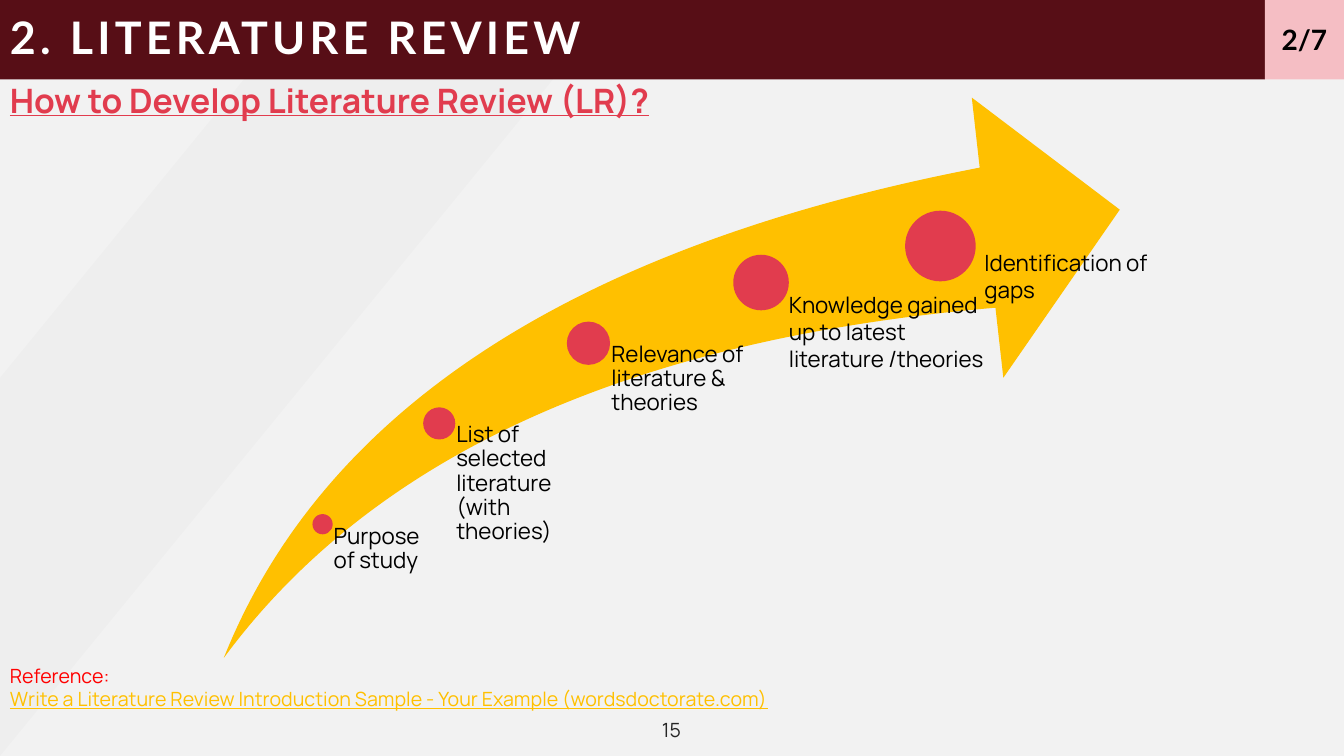
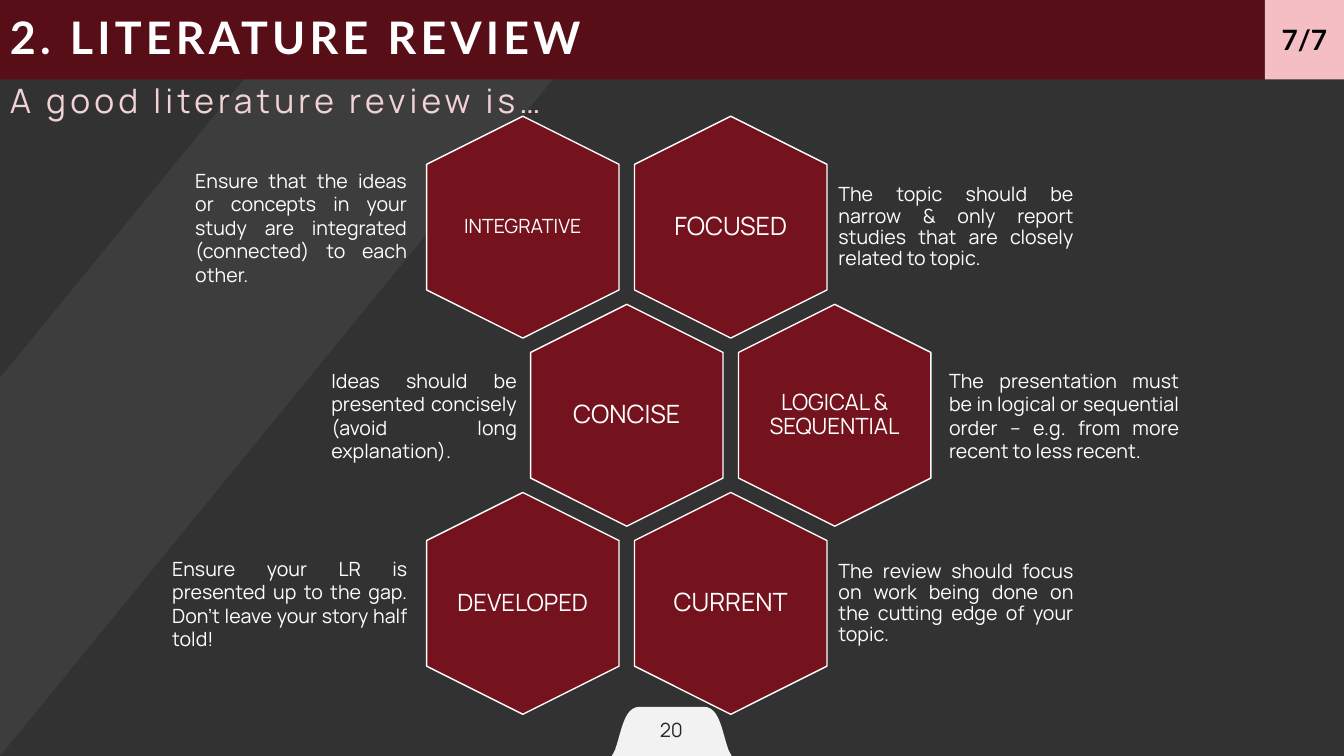
from lxml import etree
from pptx import Presentation
from pptx.dml.color import RGBColor
from pptx.enum import shapes, text
from pptx.oxml import ns
from pptx.util import Cm, Pt

HUES = {
    "wine": "570E16", "ruby": "74121D", "rose": "E13C4E", "pink": "F5BEC4",
    "blush": "F1D2D5", "gold": "FFC000", "red": "FF0000", "white": "FFFFFF",
    "black": "000000", "ink": "262626", "pale": "F2F2F2", "dark": "323232",
    "grey": "BFBFBF",
}
KIND, ALIGN = shapes.MSO_SHAPE, text.PP_ALIGN
MID = text.MSO_ANCHOR.MIDDLE


def paint(shape, hue, line=None):
    """Give a shape a solid fill and, if asked, a thin outline."""
    shape.fill.solid()
    shape.fill.fore_color.rgb = RGBColor.from_string(HUES[hue])
    if line:
        shape.line.color.rgb = RGBColor.from_string(HUES[line])
        shape.line.width = Pt(1)
    else:
        shape.line.fill.background()


def write(shape, words, size, hue, face="Manrope", align=ALIGN.LEFT, gap=1.0,
          anchor=text.MSO_ANCHOR.TOP, left=0.25, top=0.13, bold=False,
          under=False, track=0):
    """Put one styled paragraph into a shape."""
    frame = shape.text_frame
    frame.word_wrap, frame.vertical_anchor = True, anchor
    frame.auto_size = text.MSO_AUTO_SIZE.NONE
    frame.margin_left, frame.margin_right = Cm(left), Cm(min(left, 0.25))
    frame.margin_top = frame.margin_bottom = Cm(top)
    frame.text = words
    par = frame.paragraphs[0]
    par.alignment, par.line_spacing = align, gap
    font = par.font
    font.name, font.size, font.bold, font.underline = face, Pt(size), bold, under
    font.color.rgb = RGBColor.from_string(HUES[hue])
    if track:
        par.runs[0]._r.get_or_add_rPr().set("spc", str(track * 100))


deck = Presentation()
deck.slide_width, deck.slide_height = Cm(33.87), Cm(19.05)

# Shared frame: background, stripe, title bar, part counter, page number
pages = []
for back, part, number in [("pale", "2/7", "15"), ("dark", "7/7", "20")]:
    page = deck.slides.add_slide(deck.slide_layouts[5])
    page.background.fill.solid()
    page.background.fill.fore_color.rgb = RGBColor.from_string(HUES[back])
    title = page.shapes.title

    # Page tab with curved shoulders, mirrored about the centre
    mid, ends = 16.93, [(0.8, 17.81), (1.21, 17.81), (1.26, 18.42), (1.43, 18.9)]
    side = []
    for step in range(13):
        t = step / 12
        mix = [(1 - t) ** 3, 3 * t * (1 - t) ** 2, 3 * t * t * (1 - t), t ** 3]
        side.append([sum(m * e[i] for m, e in zip(mix, ends)) for i in (0, 1)])
    side.append([1.51, 19.05])
    rim = [(mid + x, y) for x, y in side] + [(mid - x, y) for x, y in side[::-1]]
    rim = [(Cm(x), Cm(y)) for x, y in rim]
    pen = page.shapes.build_freeform(*rim[0])
    pen.add_line_segments(rim[1:], close=True)
    tab = pen.convert_to_shape()
    paint(tab, "pale")

    stripe = page.shapes.add_shape(KIND.DIAGONAL_STRIPE, 0, 0, Cm(15.57), Cm(19.05))
    paint(stripe, "grey")
    tint = stripe.element.find(".//" + ns.qn("a:srgbClr"))
    etree.SubElement(tint, ns.qn("a:alpha")).set("val", "8000")
    for shape in (tab, stripe):
        shape.shadow.inherit = False
        title.element.addprevious(shape.element)

    title.left, title.top, title.width, title.height = 0, 0, Cm(31.88), Cm(2)
    paint(title, "wine")
    write(title, "2. LITERATURE REVIEW", 32, "white", "Lato", gap=0.9,
          anchor=MID, bold=True, track=3)
    count = page.shapes.add_shape(KIND.RECTANGLE, Cm(31.88), 0, Cm(1.99), Cm(2))
    count.shadow.inherit = False
    paint(count, "pink")
    write(count, part, 20, "black", "Lato", ALIGN.CENTER, anchor=MID, bold=True)
    foot = page.shapes.add_textbox(Cm(13.11), Cm(17.88), Cm(7.62), Cm(1.02))
    write(foot, number, 14, "ink", align=ALIGN.CENTER, anchor=MID)
    pages.append(page)

# Slide 1: steps along a rising arrow
draw = pages[0].shapes
arrow = draw.add_shape(KIND.SWOOSH_ARROW, Cm(5.64), Cm(2.46), Cm(22.58), Cm(14.12))
arrow.shadow.inherit = False
arrow.adjustments[0] = arrow.adjustments[1] = 0.25
paint(arrow, "gold")

# Dot centre and size, then label place, width, inset, top margin and spacing
steps = [
    (8.13, 13.21, 0.51, 8.13, 13.23, 2.95, 0.28, 0, 0.9, "Purpose of study"),
    (11.07, 10.67, 0.81, 11.07, 10.67, 3.76, 0.43, 0, 0.9,
     "List of selected literature (with theories)"),
    (14.83, 8.65, 1.09, 14.83, 8.65, 4.37, 0.58, 0, 0.9,
     "Relevance of literature & theories"),
    (19.18, 7.12, 1.4, 19.63, 7.21, 5.49, 0.25, 0.13, 1.0,
     "Knowledge gained up to latest literature /theories"),
    (23.7, 6.2, 1.78, 24.56, 6.15, 5.49, 0.25, 0.13, 1.0,
     "Identification of gaps"),
]
for x, y, size, left, top, wide, inset, head, gap, words in steps:
    dot = draw.add_shape(KIND.OVAL, Cm(x - size / 2), Cm(y - size / 2), Cm(size), Cm(size))
    dot.shadow.inherit = False
    paint(dot, "rose")
    label = draw.add_textbox(Cm(left), Cm(top), Cm(wide), Cm(3))
    write(label, words, 16, "black", gap=gap, left=inset, top=head)

head = draw.add_textbox(0, Cm(2), Cm(33.87), Cm(1.47))
write(head, "How to Develop Literature Review (LR)?", 24, "rose", gap=0.9,
      bold=True, under=True)

# Reference
source = draw.add_textbox(0, Cm(16.59), Cm(21.59), Cm(1.45))
write(source, "Reference:", 14, "red")
link = source.text_frame.add_paragraph()
link.text = "Write a Literature Review Introduction Sample - Your Example (wordsdoctorate.com)"
link.font.name, link.font.size, link.font.underline = "Manrope", Pt(14), True
link.font.color.rgb = RGBColor.from_string(HUES["gold"])

# Slide 2: honeycomb of qualities, each with a note beside it
draw = pages[1].shapes
rows = [
    [("INTEGRATIVE", 14, 4.67, 5.84, 1.0,
      "Ensure that the ideas or concepts in your study are integrated (connected) to each other."),
     ("FOCUSED", 18, 20.88, 6.43, 0.9,
      "The topic should be narrow & only report studies that are closely related to topic.")],
    [("CONCISE", 18, 8.1, 5.18, 1.0,
      "Ideas should be presented concisely (avoid long explanation)."),
     ("LOGICAL & SEQUENTIAL", 16, 23.67, 6.3, 1.0,
      "The presentation must be in logical or sequential order – e.g. from more recent to less recent.")],
    [("DEVELOPED", 17, 4.09, 6.43, 1.0,
      "Ensure your LR is presented up to the gap. Don’t leave your story half told!"),
     ("CURRENT", 18, 20.88, 6.43, 0.9,
      "The review should focus on work being done on the cutting edge of your topic.")],
]
for r, row in enumerate(rows):
    y = 5.73 + 4.74 * r
    for c, (name, size, left, wide, gap, words) in enumerate(row):
        x = 13.18 + 5.24 * (c + r % 2 / 2)
        cell = draw.add_shape(KIND.HEXAGON, Cm(x - 2.8), Cm(y - 2.43), Cm(5.59), Cm(4.85))
        cell.shadow.inherit = False
        cell.adjustments[0] = 0.25
        cell.rotation = 90
        paint(cell, "ruby", "white")
        label = draw.add_textbox(Cm(x - 1.68), Cm(y - 1.92), Cm(3.35), Cm(3.84))
        write(label, name, size, "white", align=ALIGN.CENTER, gap=0.9,
              anchor=MID, left=0, top=0)
        note = draw.add_textbox(Cm(left), Cm(y - 1.65), Cm(wide), Cm(3.3))
        write(note, words, 14, "white", align=ALIGN.JUSTIFY, gap=gap, anchor=MID)

head = draw.add_textbox(0, Cm(2), Cm(31.55), Cm(1.45))
write(head, "A good literature review is…", 24, "blush", gap=0.9, track=3)

deck.save("out.pptx")
